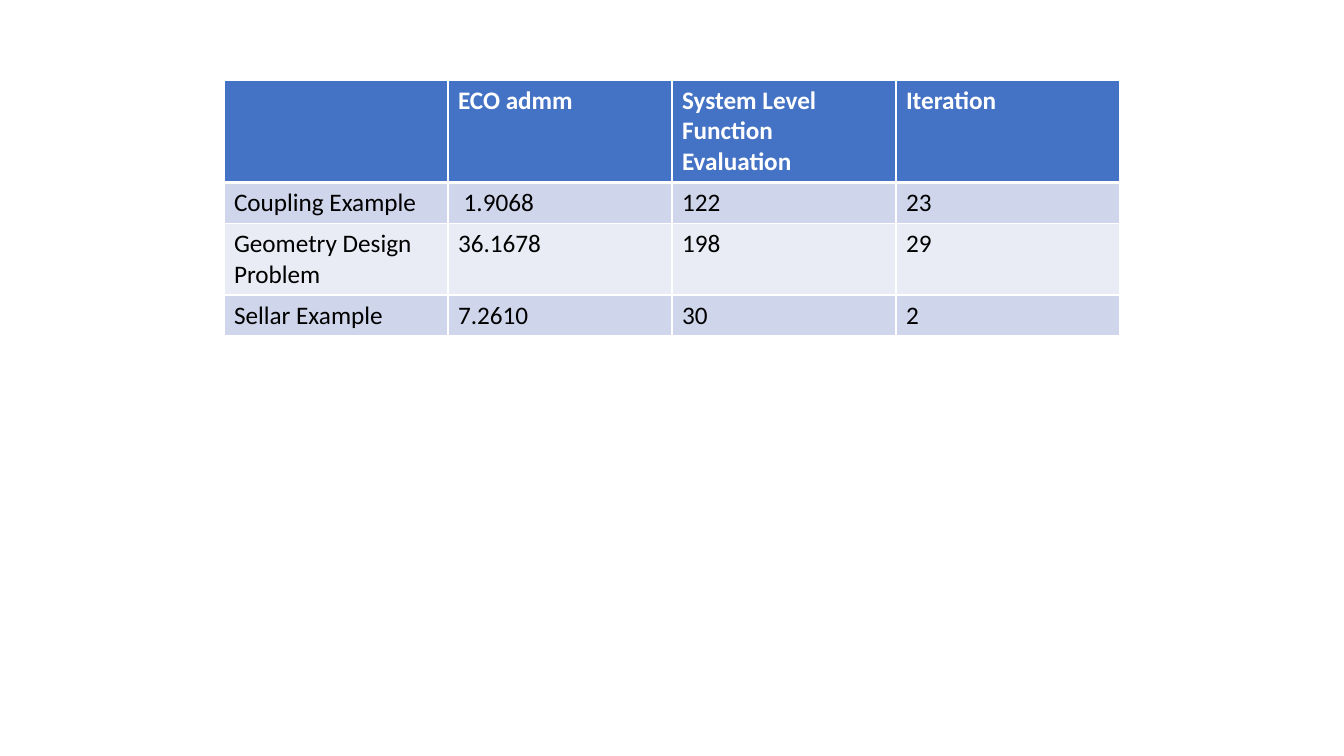
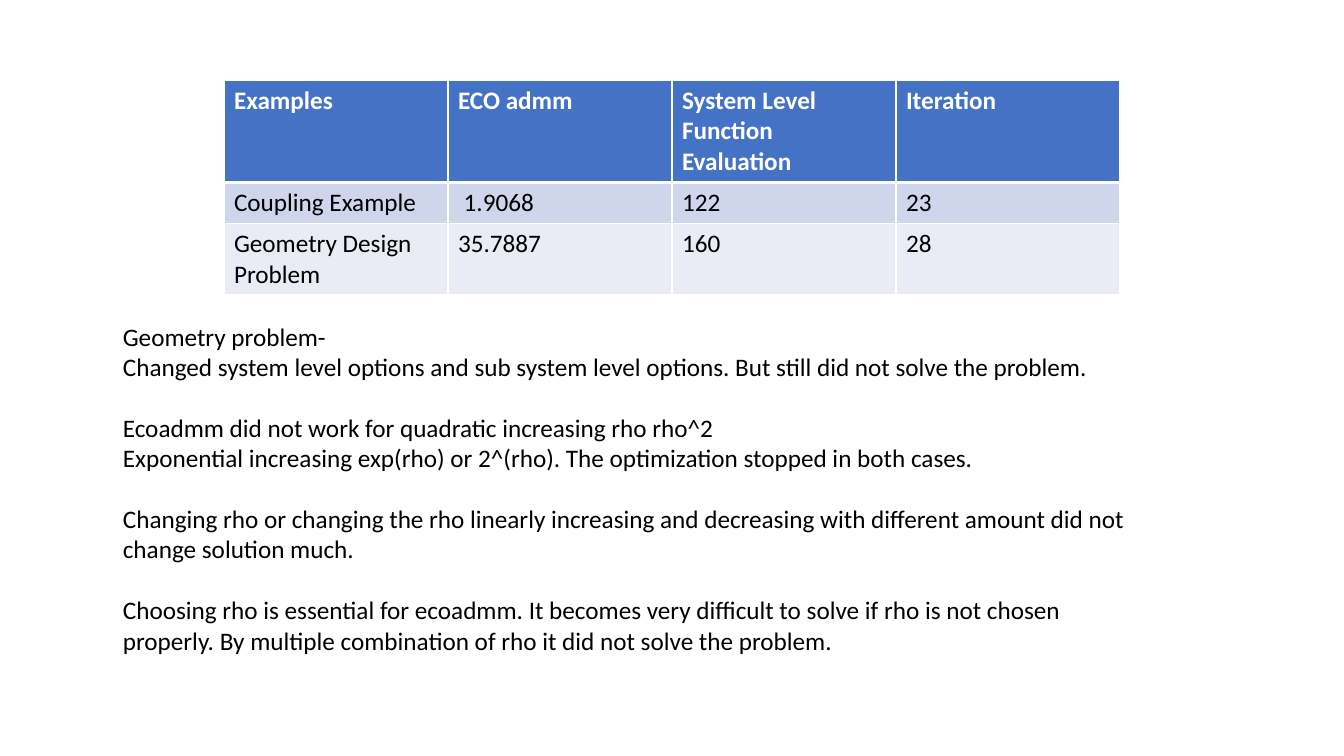
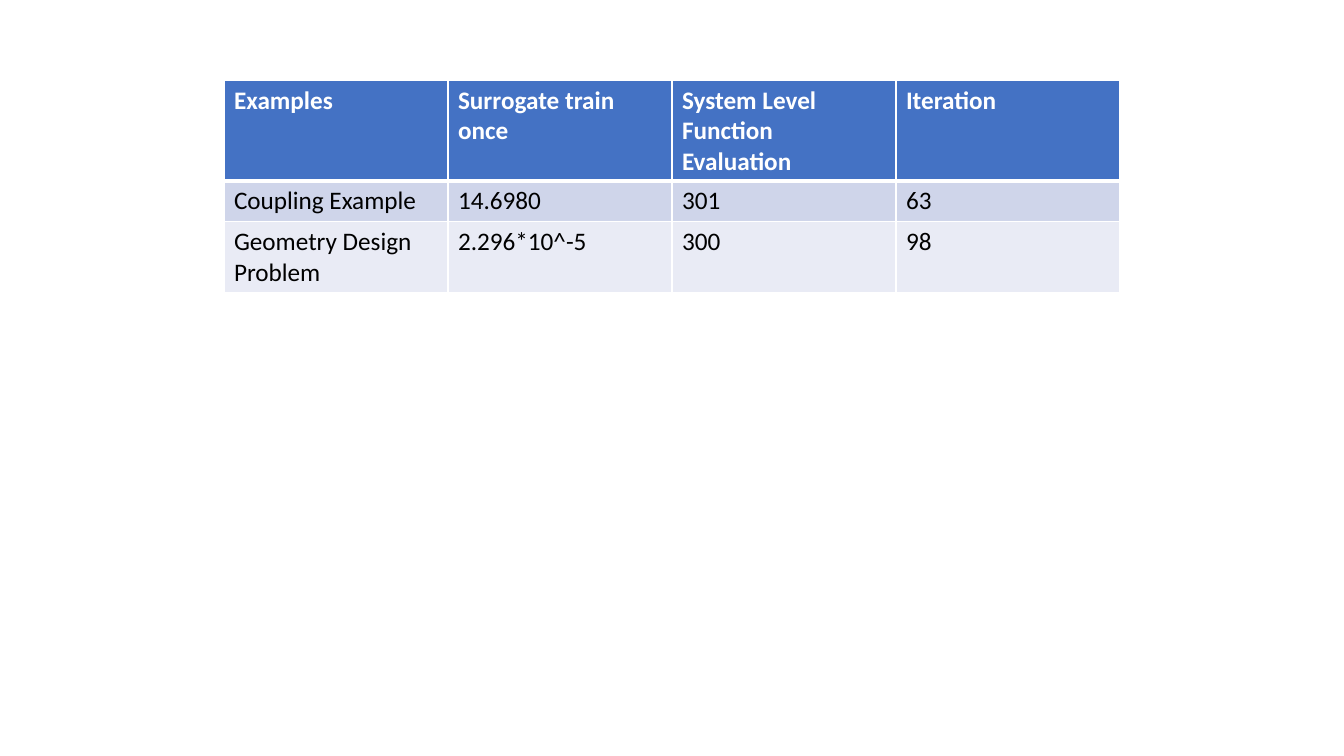
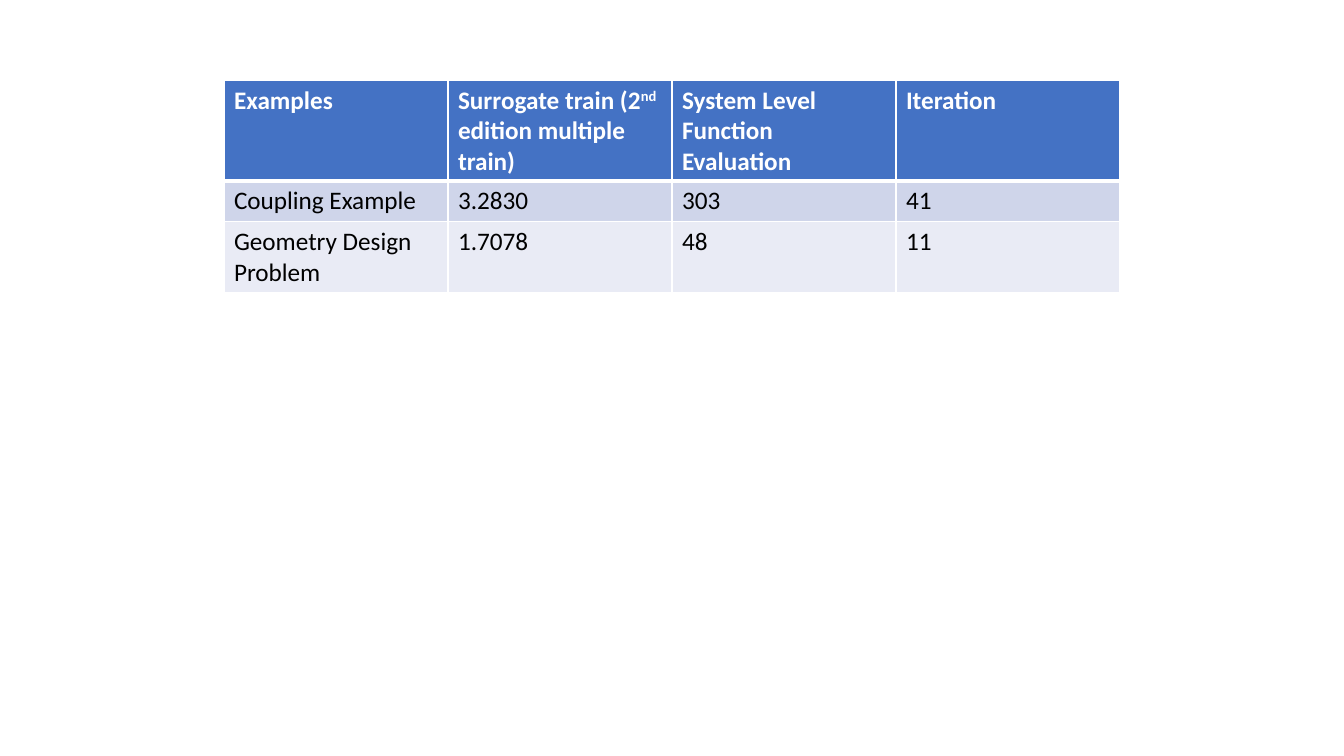
from dataclasses import dataclass

from lxml.etree import SubElement
from pptx import Presentation
from pptx.dml.color import RGBColor as Color
from pptx.enum.text import MSO_AUTO_SIZE as AutoSize
from pptx.oxml.ns import qn
from pptx.util import Pt

SLIDE_WIDTH, SLIDE_HEIGHT = 1344, 756
EMU_PER_PX = 12192000 / SLIDE_WIDTH
BLANK_LAYOUT = 6


@dataclass(frozen=True)
class Theme:
    font: str = "Calibri"
    text_size: int = 18
    paragraph_gap: int = 22
    text: str = "000000"
    header_text: str = "FFFFFF"
    header_fill: str = "4472C4"
    row_fills: tuple = ("CFD5EA", "E9EBF5")
    border: str = "FFFFFF"
    border_width: int = 1
    header_rule_width: int = 3


@dataclass(frozen=True)
class Superscript:
    text: str


THEME = Theme()

# Table geometry
TABLE_LEFT, TABLE_TOP = 224, 80
COLUMN_WIDTH, ROW_HEIGHT = 224, 41

# Wording shared by the tables
EVALUATION = "System Level Function Evaluation"
COUPLING = "Coupling Example"
GEOMETRY = "Geometry Design Problem"


def px(length):
    return round(length * EMU_PER_PX)


# Text
def write_text(paragraph, text, color=THEME.text, bold=False, space_before=0):
    """Write a string, or a sequence of strings and Superscripts."""
    paragraph.space_before = Pt(space_before)
    for part in [text] if isinstance(text, str) else text:
        raised = isinstance(part, Superscript)
        run = paragraph.add_run()
        run.text = part.text if raised else part
        run.font.name = THEME.font
        run.font.size = Pt(THEME.text_size)
        run.font.bold = bold
        run.font.color.rgb = Color.from_string(color)
        if raised:
            run.font._element.set("baseline", "30000")


def add_notes_box(slide, left, top, width, height, groups):
    """Stack groups of paragraphs, with a gap above every later group."""
    shape = slide.shapes.add_textbox(px(left), px(top), px(width), px(height))
    frame = shape.text_frame
    frame.word_wrap = True
    frame.auto_size = AutoSize.SHAPE_TO_FIT_TEXT
    paragraph = frame.paragraphs[0]
    for group_index, group in enumerate(groups):
        for line_index, line in enumerate(group):
            starts_group = line_index == 0
            if group_index or line_index:
                paragraph = frame.add_paragraph()
            gap = THEME.paragraph_gap if group_index and starts_group else 0
            write_text(paragraph, line, space_before=gap)


# Tables
def set_borders(cell, top, bottom):
    """Draw the four cell borders; they must precede the fill in the XML."""
    properties = cell._tc.get_or_add_tcPr()
    side = THEME.border_width
    widths = {"a:lnL": side, "a:lnR": side, "a:lnT": top, "a:lnB": bottom}
    for index, (tag, width) in enumerate(widths.items()):
        line = SubElement(properties, qn(tag), w=str(Pt(width)))
        fill = SubElement(line, qn("a:solidFill"))
        SubElement(fill, qn("a:srgbClr"), val=THEME.border)
        properties.insert(index, line)


def format_cell(cell, text, row_index):
    is_header = row_index == 0
    stripe = THEME.row_fills[(row_index - 1) % len(THEME.row_fills)]
    cell.fill.solid()
    cell.fill.fore_color.rgb = Color.from_string(
        THEME.header_fill if is_header else stripe)
    thin, thick = THEME.border_width, THEME.header_rule_width
    set_borders(cell, top=thick if row_index == 1 else thin,
                bottom=thick if is_header else thin)
    if text:
        write_text(cell.text_frame.paragraphs[0], text, bold=is_header,
                   color=THEME.header_text if is_header else THEME.text)


def add_results_table(slide, rows):
    column_count = len(rows[0])
    table = slide.shapes.add_table(
        len(rows), column_count, px(TABLE_LEFT), px(TABLE_TOP),
        px(COLUMN_WIDTH * column_count), px(ROW_HEIGHT * len(rows))).table
    for row_index, row in enumerate(rows):
        for column_index, text in enumerate(row):
            format_cell(table.cell(row_index, column_index), text, row_index)


# Content
RESULTS = [
    [("", "ECO admm", EVALUATION, "Iteration"),
     (COUPLING, " 1.9068", "122", "23"),
     (GEOMETRY, "36.1678", "198", "29"),
     ("Sellar Example", "7.2610", "30", "2")],
    [("Examples", "ECO admm", EVALUATION, "Iteration"),
     (COUPLING, " 1.9068", "122", "23"),
     (GEOMETRY, "35.7887", "160", "28")],
    [("Examples", "Surrogate train once", EVALUATION, "Iteration"),
     (COUPLING, "14.6980", "301", "63"),
     (GEOMETRY, "2.296*10^-5", "300", "98")],
    [("Examples",
      ("Surrogate train (2", Superscript("nd"), " edition multiple train)"),
      EVALUATION, "Iteration"),
     (COUPLING, "3.2830", "303", "41"),
     (GEOMETRY, "1.7078", "48", "11")],
]

RHO_NOTES = [
    ["Geometry problem-",
     "Changed system level options and sub system level options. "
     "But still did not solve the problem."],
    ["Ecoadmm did not work for quadratic increasing rho rho^2",
     "Exponential increasing exp(rho) or 2^(rho). "
     "The optimization stopped in both cases."],
    ["Changing rho or changing the rho linearly increasing and decreasing "
     "with different amount did not change solution much."],
    ["Choosing rho is essential for ecoadmm. It becomes very difficult to "
     "solve if rho is not chosen properly. By multiple combination of rho "
     "it did not solve the problem."],
]


def main():
    presentation = Presentation()
    presentation.slide_width = px(SLIDE_WIDTH)
    presentation.slide_height = px(SLIDE_HEIGHT)
    layout = presentation.slide_layouts[BLANK_LAYOUT]

    slides = []
    for rows in RESULTS:
        slide = presentation.slides.add_slide(layout)
        add_results_table(slide, rows)
        slides.append(slide)
    add_notes_box(slides[1], 113, 316, 1050, 346, RHO_NOTES)

    presentation.save("out.pptx")


if __name__ == "__main__":
    main()
